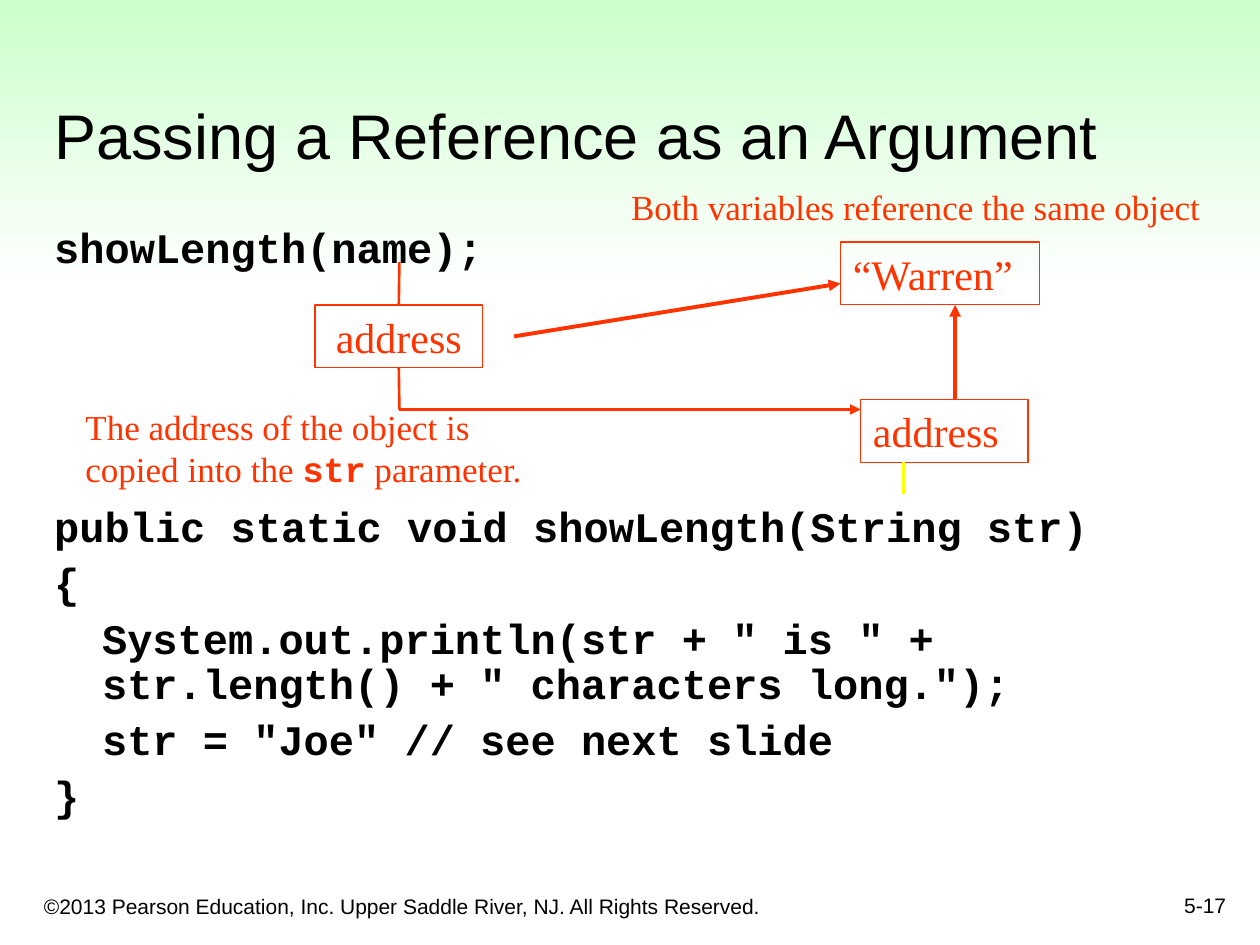
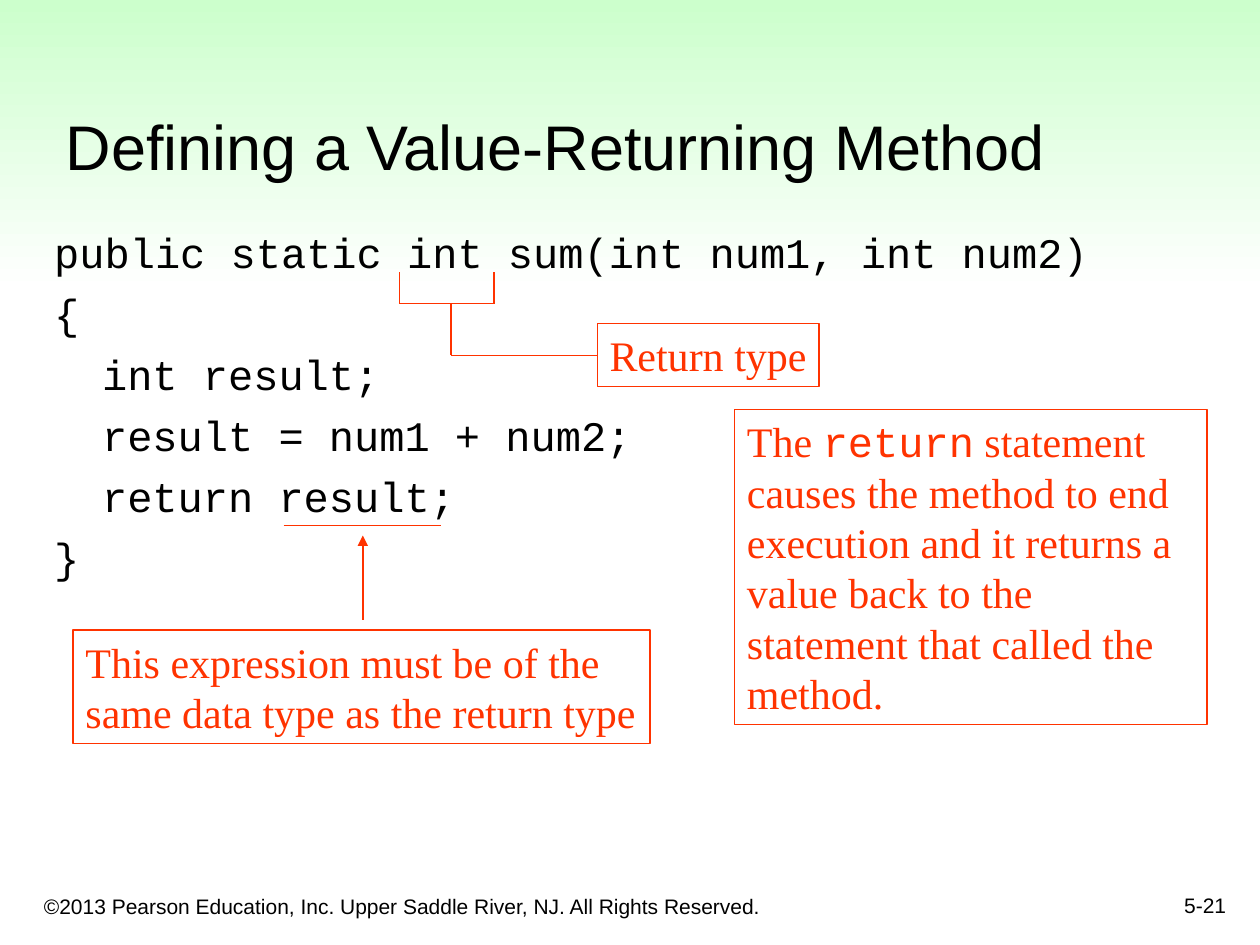
"""Build two slides on passing references to methods and returning values in Java."""
from lxml import etree
from pptx import Presentation
from pptx.dml.color import RGBColor
from pptx.enum.shapes import MSO_CONNECTOR, MSO_SHAPE
from pptx.enum.text import MSO_ANCHOR as Anchor, MSO_AUTO_SIZE as AutoSize, PP_ALIGN as Align
from pptx.oxml.ns import qn
from pptx.util import Inches, Pt

COLORS = {"text": "000000", "note": "FF3300", "stub": "FFFF00", "band": "CCFFCC", "page": "FFFFFF"}
SANS, SERIF, MONO = "Arial", "Times New Roman", "Courier New"
COPYRIGHT = "©2013 Pearson Education, Inc. Upper Saddle River, NJ. All Rights Reserved."


def write(shape, text, size, font, color="text", align=Align.LEFT, anchor=Anchor.TOP, wrap=True, bold_code=False):
    """Fill a shape with one paragraph; pieces between bars are code."""
    frame = shape.text_frame
    frame.word_wrap = wrap
    frame.auto_size = AutoSize.NONE
    frame.vertical_anchor = anchor
    paragraph = frame.paragraphs[0]
    paragraph.alignment = align
    for position, piece in enumerate(text.split("|")):
        is_code = position % 2 == 1
        run = paragraph.add_run()
        run.text = piece
        run.font.name = MONO if is_code else font
        run.font.size = Pt(size)
        run.font.bold = is_code and bold_code
        run.font.color.rgb = RGBColor.from_string(COLORS[color])


def draw_line(slide, start, end, width, color="note", arrow=False):
    """Draw a straight line between two points, with an arrowhead if asked."""
    line = slide.shapes.add_connector(MSO_CONNECTOR.STRAIGHT, *map(Inches, start + end))
    line.line.width = Pt(width)
    line.line.color.rgb = RGBColor.from_string(COLORS[color])
    if arrow:
        etree.SubElement(line.line._get_or_add_ln(), qn("a:tailEnd"), type="triangle")
    etree.SubElement(line._element.spPr, qn("a:effectLst"))
    return line


prs = Presentation()
prs.slide_width, prs.slide_height = Inches(10), Inches(7.5)
layout = prs.slide_layouts[1]
for placeholder in list(layout.placeholders)[2:]:
    placeholder.element.getparent().remove(placeholder.element)

lessons = [
    {
        "title": "Passing a Reference as an Argument",
        "title_at": (0.33, 0.33, 9.42, 1.09),
        "number": "5-17",
        "bold": True,
        "spacing": 0.9,
        "code": [
            ("showLength(name);", 0, 0),
            ("public static void showLength(String str)", 0, 134),
            ("{", 0, 6),
            ('System.out.println(str + " is " + str.length() + " characters long.");', 1, 6),
            ('str = "Joe" // see next slide', 1, 6),
            ("}", 0, 6),
        ],
        "notes": [
            ("address", (2.5, 2.42, 1.33, 0.5), 24, Align.CENTER, True, True),
            ("address", (6.83, 3.17, 1.33, 0.5), 24, Align.LEFT, True, True),
            ("“Warren”", (6.67, 1.92, 1.58, 0.5), 24, Align.LEFT, True, True),
            ("Both variables reference the same object", (4.91, 1.42, 4.72, 0.44), 20, Align.LEFT, False, False),
            ("The address of the object is copied into the |str| parameter.",
             (0.58, 3.17, 4, 0.77), 20, Align.LEFT, False, True),
        ],
    },
    {
        "title": "Defining a Value-Returning Method",
        "title_at": (0.42, 0.25, 8.5, 1.25),
        "number": "5-21",
        "bold": False,
        "spacing": 1.0,
        "code": [
            ("public static int sum(int num1, int num2)", 0, 0),
            ("{", 0, 6),
            ("int result;", 1, 6),
            ("result = num1 + num2;", 1, 6),
            ("return result;", 1, 6),
            ("}", 0, 6),
        ],
        "notes": [
            ("Return type", (4.74, 2.57, 1.76, 0.5), 24, Align.CENTER, True, False),
            ("This expression must be of the same data type as the return type",
             (0.58, 5, 4.58, 0.9), 24, Align.LEFT, True, True),
            ("The |return| statement causes the method to end execution and it returns "
             "a value back to the statement that called the method.",
             (5.83, 3.25, 3.75, 2.5), 24, Align.LEFT, True, True),
        ],
    },
]

slides, notes = [], []
for lesson in lessons:
    slide = prs.slides.add_slide(layout)
    slides.append(slide)

    if len(slides) == 1:
        band = slide.shapes.add_shape(MSO_SHAPE.RECTANGLE, 0, 0, Inches(10), Inches(2.32))
        band.shadow.inherit = False
        band.line.fill.background()
        band.fill.gradient()
        band.fill.gradient_angle = 270
        for stop, color in zip(band.fill.gradient_stops, ("band", "page")):
            stop.color.rgb = RGBColor.from_string(COLORS[color])
        rights = slide.shapes.add_textbox(*map(Inches, (0.25, 6.92, 6.08, 0.42)))
        write(rights, COPYRIGHT, 12, SANS, anchor=Anchor.BOTTOM)
        first_on_layout = layout.shapes[0].element
        for shared in (band, rights):
            first_on_layout.addprevious(shared.element)

    number = slide.shapes.add_textbox(*map(Inches, (7.75, 6.83, 2.08, 0.5)))
    write(number, lesson["number"], 12, SANS, align=Align.RIGHT, anchor=Anchor.BOTTOM)

    title = slide.shapes.title
    title.left, title.top, title.width, title.height = map(Inches, lesson["title_at"])
    write(title, lesson["title"], 36, SANS, anchor=Anchor.BOTTOM)

    code = slide.placeholders[1]
    code.left, code.top, code.width, code.height = map(Inches, (0.33, 1.75, 9.07, 5))
    frame = code.text_frame
    frame.auto_size = AutoSize.NONE
    frame.margin_right = 0
    frame.text = "\n".join(text for text, level, gap in lesson["code"])
    for paragraph, (text, level, gap) in zip(frame.paragraphs, lesson["code"]):
        properties = paragraph._p.get_or_add_pPr()
        hanging = 0 if level else -0.38
        properties.set("marL", str(Inches(0.38)))
        properties.set("indent", str(Inches(hanging)))
        etree.SubElement(properties, qn("a:buNone"))
        paragraph.space_before = Pt(gap)
        paragraph.line_spacing = lesson["spacing"]
        font = paragraph.runs[0].font
        font.name, font.size, font.bold = MONO, Pt(24), lesson["bold"]
        font.color.rgb = RGBColor.from_string(COLORS["text"])

    lesson_notes = []
    for text, place, size, align, framed, wrap in lesson["notes"]:
        if framed:
            note = slide.shapes.add_shape(MSO_SHAPE.RECTANGLE, *map(Inches, place))
            note.shadow.inherit = False
            note.fill.background()
            note.line.width = Pt(0.75)
            note.line.color.rgb = RGBColor.from_string(COLORS["note"])
        else:
            note = slide.shapes.add_textbox(*map(Inches, place))
        write(note, text, size, SERIF, "note", align, wrap=wrap, bold_code=lesson["bold"])
        lesson_notes.append(note)
    notes.append(lesson_notes)

reference, value = slides
argument_address = notes[0][0]
return_type = notes[1][0]

draw_line(reference, (3.17, 2.08), (3.17, 2.42), 1.5).end_connect(argument_address, 0)
draw_line(reference, (3.17, 2.92), (3.17, 3.25), 1.5).begin_connect(argument_address, 2)
draw_line(reference, (3.17, 3.25), (6.83, 3.25), 1.5, arrow=True)
draw_line(reference, (4.08, 2.67), (6.67, 2.25), 2.25, arrow=True)
draw_line(reference, (7.17, 3.67), (7.17, 3.92), 1.5, "stub")
draw_line(reference, (7.58, 3.17), (7.58, 2.42), 2.25, arrow=True)

draw_line(value, (2.25, 4.17), (3.5, 4.17), 0.75)
draw_line(value, (2.88, 4.92), (2.88, 4.25), 0.75, arrow=True)
bracket = [(3.17, 2.16), (3.17, 2.41), (3.92, 2.41), (3.92, 2.16)]
for start, end in zip(bracket, bracket[1:]):
    draw_line(value, start, end, 0.75)
draw_line(value, (3.58, 2.41), (3.58, 2.82), 0.75)
draw_line(value, (3.58, 2.82), (4.74, 2.82), 0.75).end_connect(return_type, 1)

prs.save("out.pptx")
